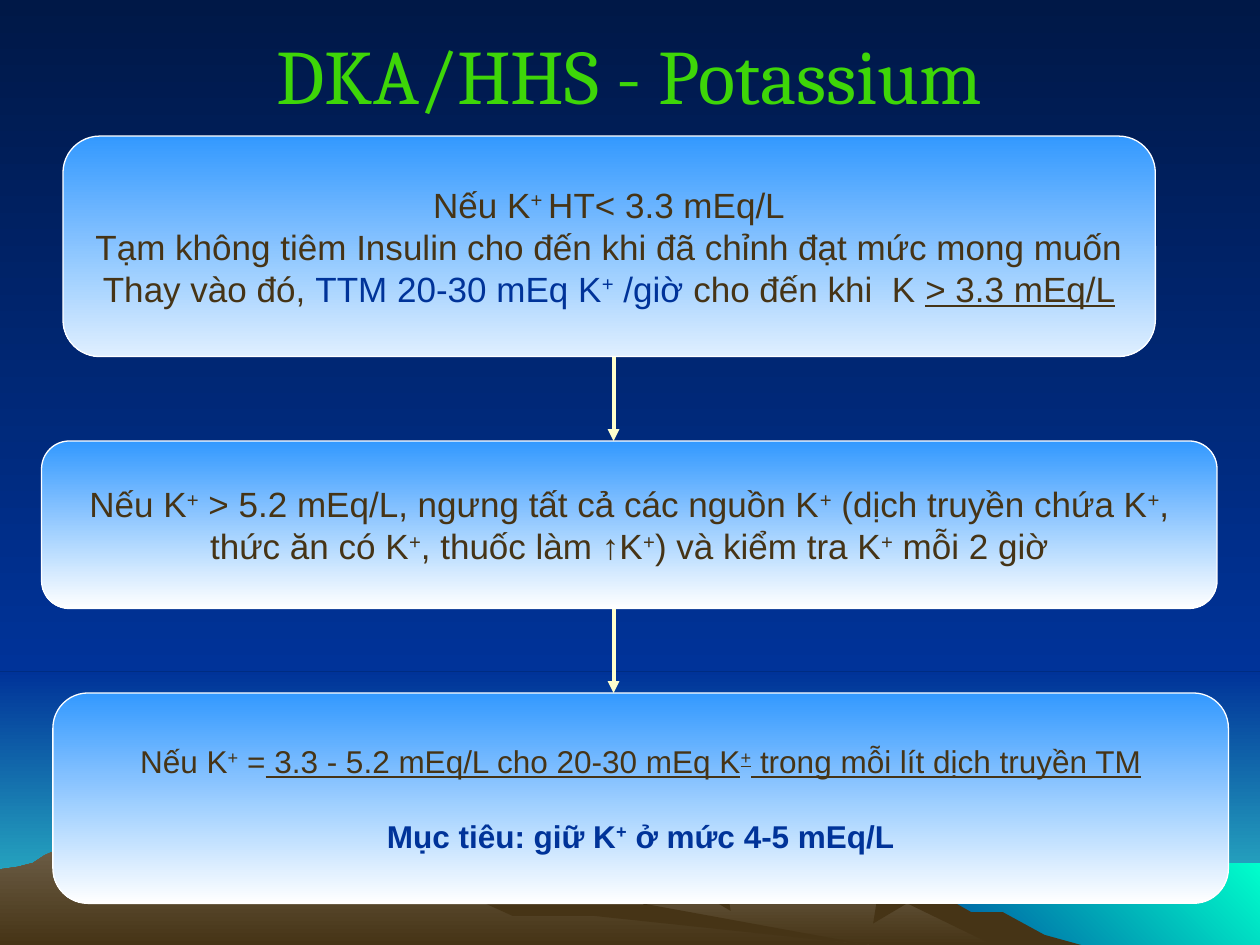
"""Build the DKA/HHS potassium slide: three treatment steps over a mountain landscape."""
from dataclasses import dataclass

from lxml.etree import SubElement
from pptx import Presentation
from pptx.dml.color import RGBColor
from pptx.enum.shapes import MSO_CONNECTOR, MSO_SHAPE
from pptx.enum.text import MSO_ANCHOR, PP_ALIGN
from pptx.oxml.ns import qn
from pptx.util import Inches, Pt


@dataclass(frozen=True)
class Theme:
    night: str = "001847"
    blue: str = "003399"
    lagoon: str = "33CCCC"
    sea: str = "00FFCC"
    earth: str = "463416"
    ridge: str = "847864"
    slope: str = "73654F"
    step: str = "3399FF"
    pale: str = "DFEFFF"
    white: str = "FFFFFF"
    arrow: str = "FFFFCC"
    title: str = "3ED608"
    title_font: str = "Cambria"
    body_font: str = "Arial"
    title_size: int = 44
    body_size: int = 20
    goal_size: int = 18


theme = Theme()
DOWN, UP_RIGHT = 270, 45


def paint(fill, start, end, angle=DOWN):
    if start == end:
        fill.solid()
        fill.fore_color.rgb = RGBColor.from_string(start)
        return
    fill.gradient()
    fill.gradient_angle = angle
    for stop, color, position in zip(fill.gradient_stops, (start, end), (0, 1)):
        stop.color.rgb = RGBColor.from_string(color)
        stop.position = position


def set_font(font, name, size, color):
    font.name = name
    font.size = Pt(size)
    font.color.rgb = RGBColor.from_string(color)


presentation = Presentation()
presentation.slide_width, presentation.slide_height = Inches(10), Inches(7.5)
slide = presentation.slides.add_slide(presentation.slide_layouts[6])
shapes = slide.shapes
paint(slide.background.fill, theme.night, theme.blue)

scenery_bands = [
    (0, 5.33, 10, 2.17, theme.blue, theme.lagoon, DOWN),
    (0, 0, 10, 5.33, theme.night, theme.blue, DOWN),
    (6.83, 6.85, 3.17, 0.65, theme.blue, theme.sea, UP_RIGHT),
]
for left, top, width, height, start, end, angle in scenery_bands:
    band = shapes.add_shape(MSO_SHAPE.RECTANGLE, Inches(left), Inches(top), Inches(width), Inches(height))
    band.shadow.inherit = False
    band.line.fill.background()
    paint(band.fill, start, end, angle)

far_ridge = [
    (802, 740), (778, 727), (764, 723), (723, 698), (702, 671), (685, 660), (676, 667),
    (656, 671), (629, 671), (613, 681), (566, 697), (536, 690), (529, 676), (526, 673),
    (509, 669), (486, 673), (474, 661), (471, 658), (465, 658), (450, 664), (438, 671),
    (430, 671), (418, 675), (405, 681), (394, 685), (355, 698), (327, 709), (277, 739),
    (258, 750), (820, 750),
]
right_shade = [
    (796, 724), (771, 724), (734, 703), (707, 671), (685, 660), (689, 664), (685, 671),
    (691, 680), (698, 702), (693, 733), (720, 717), (788, 750), (858, 750), (829, 742),
]
peak_shade = [
    (471, 658), (474, 662), (469, 664), (468, 671), (472, 680), (473, 690), (465, 727),
    (474, 704), (479, 700), (487, 683), (490, 682), (490, 676), (497, 671), (493, 670),
]
middle_shade = [
    (529, 676), (528, 678), (526, 683), (536, 697), (580, 723), (576, 700), (592, 689),
    (570, 692), (542, 685),
]
near_slope = [
    (690, 750), (667, 748), (432, 712), (354, 665), (331, 663), (327, 668), (323, 668),
    (318, 664), (296, 676), (279, 681), (271, 682), (260, 676), (236, 681), (223, 663),
    (215, 659), (198, 658), (191, 662), (178, 666), (160, 671), (148, 667), (143, 667),
    (132, 671), (123, 669), (111, 669), (94, 671), (68, 662), (56, 669), (46, 674),
    (35, 679), (26, 685), (14, 688), (0, 690), (0, 750),
]
slope_shade = [
    (370, 668), (354, 665), (344, 665), (339, 669), (337, 687), (348, 683), (353, 688),
    (363, 691), (374, 712), (407, 727), (472, 727), (690, 750), (455, 707), (427, 692),
    (411, 684), (401, 681), (386, 675),
]
mountains = [
    (far_ridge, theme.ridge),
    (right_shade, theme.earth),
    (peak_shade, theme.earth),
    (middle_shade, theme.earth),
    (near_slope, theme.slope),
    (slope_shade, theme.earth),
]
for outline, top_color in mountains:
    builder = shapes.build_freeform(*outline[0], scale=Inches(0.01))
    builder.add_line_segments(outline[1:], close=True)
    mountain = builder.convert_to_shape()
    mountain.shadow.inherit = False
    mountain.line.fill.background()
    paint(mountain.fill, top_color, theme.earth)

heading = shapes.add_textbox(Inches(0.5), Inches(0.25), Inches(9), Inches(0.67)).text_frame
heading.word_wrap = True
heading.vertical_anchor = MSO_ANCHOR.MIDDLE
heading.text = "DKA/HHS - Potassium"
heading.paragraphs[0].alignment = PP_ALIGN.CENTER
set_font(heading.paragraphs[0].font, theme.title_font, theme.title_size, theme.title)

PLAIN, BLUE, UNDERLINED, GOAL = "plain", "blue", "underlined", "goal"
low_potassium = [
    [("Nếu K", PLAIN), ("+ ", PLAIN), ("HT< 3.3 mEq/L", PLAIN)],
    [("Tạm không tiêm Insulin cho đến khi đã chỉnh đạt mức mong muốn", PLAIN)],
    [("Thay vào đó, ", PLAIN), ("TTM 20-30 mEq K", BLUE), ("+", BLUE), (" /giờ ", BLUE),
     ("cho đến khi  K ", PLAIN), ("> 3.3 mEq/L", UNDERLINED)],
]
high_potassium = [
    [("Nếu K", PLAIN), ("+", PLAIN), (" > 5.2 mEq/L, ngưng tất cả các nguồn K", PLAIN),
     ("+", PLAIN), (" (dịch truyền chứa K", PLAIN), ("+", PLAIN), (", thức ăn có K", PLAIN),
     ("+", PLAIN), (", thuốc làm ↑K", PLAIN), ("+", PLAIN), (") và kiểm tra K", PLAIN),
     ("+", PLAIN), (" mỗi 2 giờ", PLAIN)],
]
normal_potassium = [
    [("Nếu K", PLAIN), ("+", PLAIN), (" =", PLAIN),
     (" 3.3 - 5.2 mEq/L cho 20-30 mEq K", UNDERLINED), ("+", UNDERLINED),
     (" trong mỗi lít dịch truyền TM", UNDERLINED)],
    [("Mục tiêu: giữ K", GOAL), ("+", GOAL), (" ở mức 4-5 mEq/L", GOAL)],
]
steps = [
    (0.5, 1.08, 8.67, 1.75, theme.pale, theme.body_size, low_potassium),
    (0.33, 3.5, 9.33, 1.33, theme.white, theme.body_size, high_potassium),
    (0.42, 5.5, 9.33, 1.67, theme.white, theme.goal_size, normal_potassium),
]
for left, top, width, height, end_color, size, lines in steps:
    step = shapes.add_shape(MSO_SHAPE.ROUNDED_RECTANGLE, Inches(left), Inches(top), Inches(width), Inches(height))
    step.adjustments[0] = 0.167
    step.shadow.inherit = False
    paint(step.fill, theme.step, end_color)
    step.line.color.rgb = RGBColor.from_string(theme.white)
    step.line.width = Pt(0.75)
    frame = step.text_frame
    frame.word_wrap = True
    frame.vertical_anchor = MSO_ANCHOR.MIDDLE
    for index, line in enumerate(lines):
        paragraph = frame.add_paragraph() if index else frame.paragraphs[0]
        paragraph.alignment = PP_ALIGN.CENTER
        is_goal = line[0][1] == GOAL
        set_font(paragraph.font, theme.body_font, size, theme.blue if is_goal else theme.earth)
        if is_goal:
            paragraph.font.bold = True
            paragraph.space_before = Pt(21)
        for text, style in line:
            run = paragraph.add_run()
            run.text = text
            if text.strip() == "+":
                run._r.get_or_add_rPr().set("baseline", "30000")
            if style == BLUE:
                run.font.color.rgb = RGBColor.from_string(theme.blue)
            if style == UNDERLINED:
                run.font.underline = True

for arrow_top, arrow_bottom in ((2.83, 3.5), (4.83, 5.5)):
    arrow = shapes.add_connector(
        MSO_CONNECTOR.STRAIGHT, Inches(4.87), Inches(arrow_top), Inches(4.87), Inches(arrow_bottom))
    arrow.line.color.rgb = RGBColor.from_string(theme.arrow)
    arrow.line.width = Pt(2.25)
    SubElement(arrow.line._get_or_add_ln(), qn("a:tailEnd"), type="triangle")
    SubElement(arrow._element.spPr, qn("a:effectLst"))

presentation.save("out.pptx")
